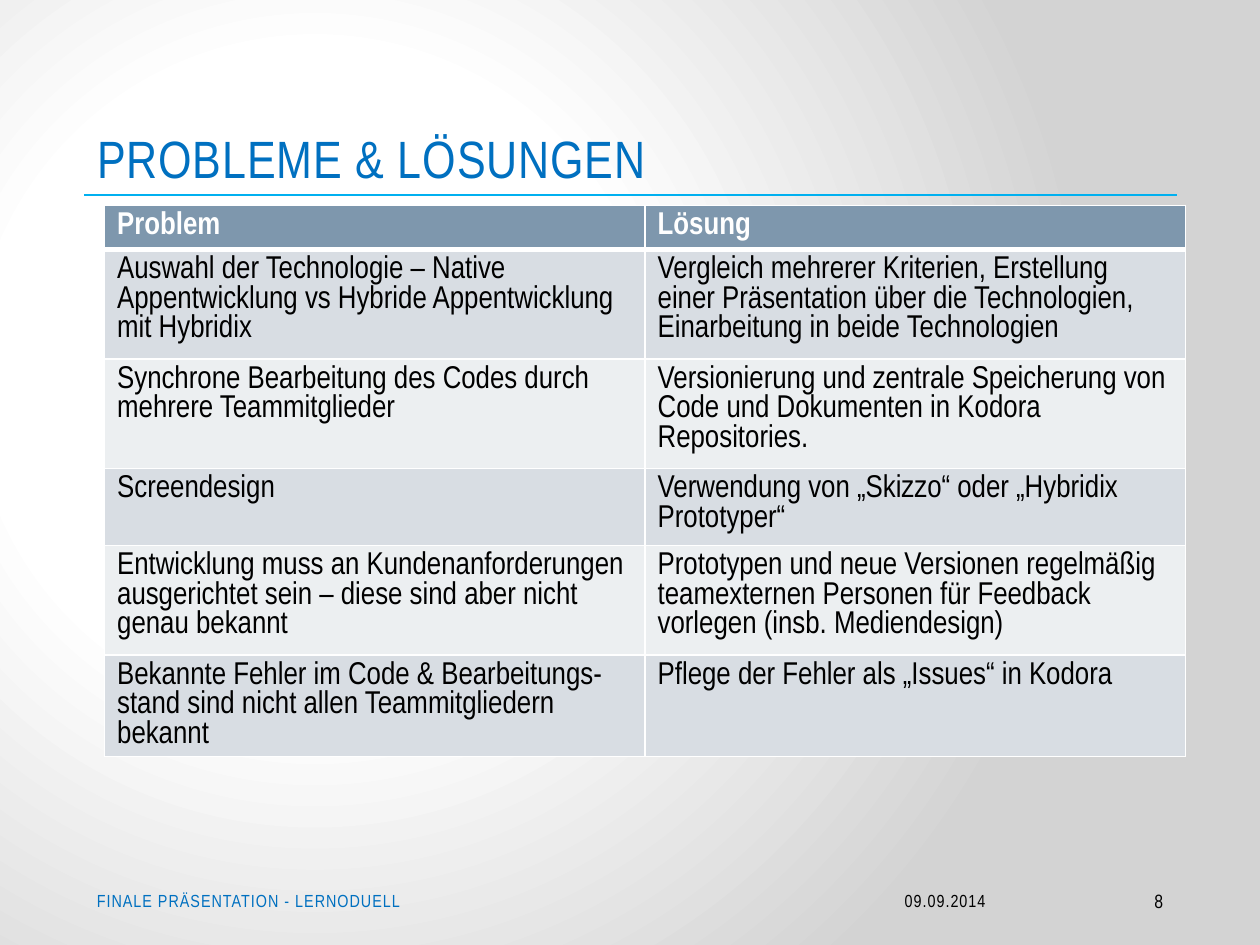
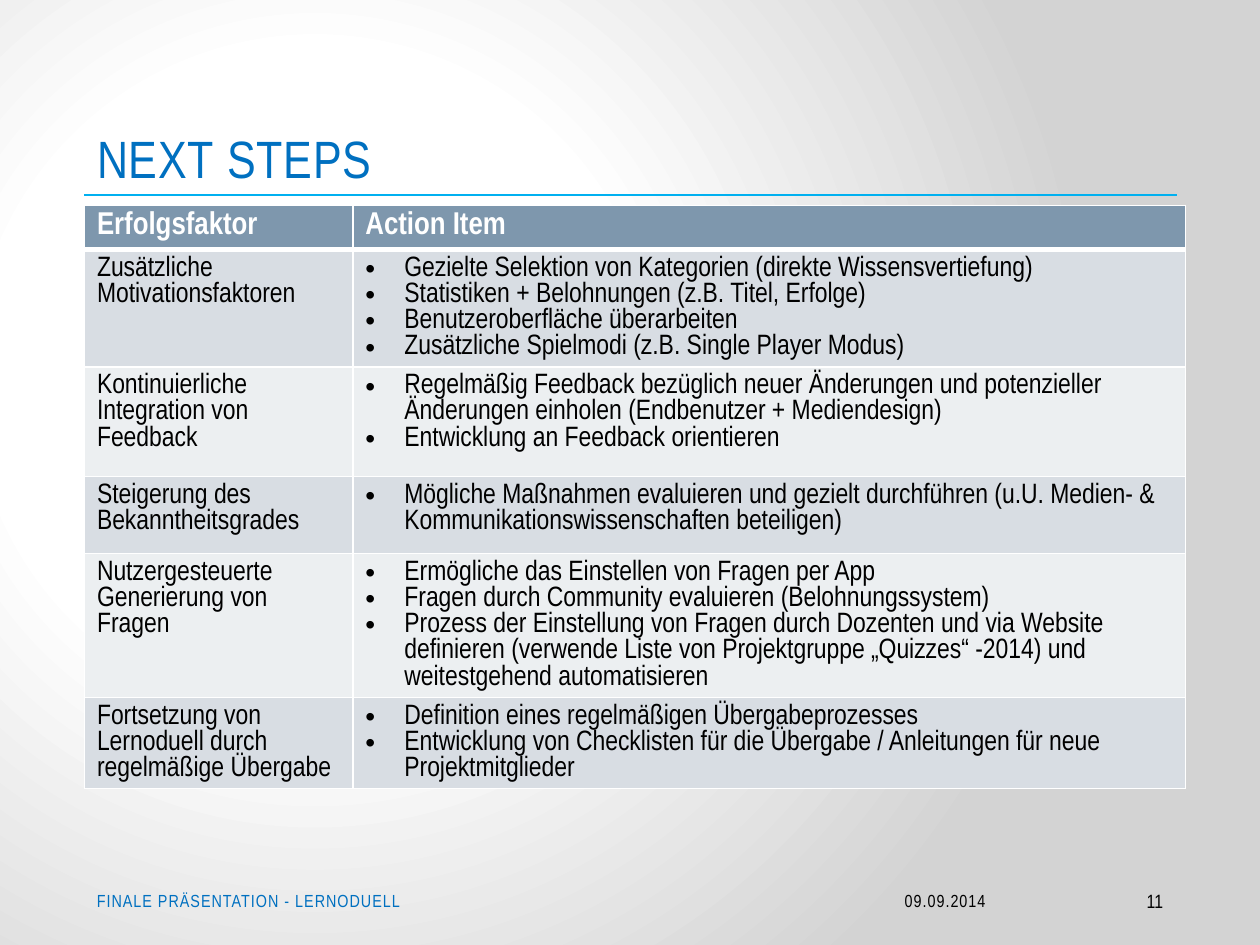
from dataclasses import dataclass

import pptx
import pptx.dml.color
import pptx.enum.shapes
import pptx.enum.text
import pptx.oxml
import pptx.oxml.ns
import pptx.oxml.xmlchemy
import pptx.presentation
import pptx.shapes.autoshape
import pptx.slide
import pptx.table
import pptx.text.text
import pptx.util

Inches = pptx.util.Inches
RGBColor = pptx.dml.color.RGBColor
Align = pptx.enum.text.PP_ALIGN
Anchor = pptx.enum.text.MSO_ANCHOR

WHITE = RGBColor(0xFF, 0xFF, 0xFF)
BLACK = RGBColor(0x00, 0x00, 0x00)
GREY = RGBColor(0xD3, 0xD3, 0xD3)
BLUE = RGBColor(0x00, 0x70, 0xC0)
RULE_BLUE = RGBColor(0x00, 0xB0, 0xF0)
HEADER_FILL = RGBColor(0x7E, 0x97, 0xAD)
BAND_FILLS = (RGBColor(0xD8, 0xDD, 0xE3), RGBColor(0xEC, 0xEF, 0xF1))

FONT = "Arial Narrow"
NAMESPACE = pptx.oxml.ns.nsdecls("a")
LEFT = Inches(0.67)
CONTENT_WIDTH = Inches(8.67)
RULE_TOP = Inches(1.55)
TABLE_TOP = Inches(1.63)
FOOTER_TOP = Inches(6.95)
FOOTER_HEIGHT = Inches(0.4)
BULLET_INDENT = Inches(0.31)
ROW_HEIGHTS = [Inches(height) for height in (0.35, 0.87, 0.87, 0.61, 0.87, 0.61)]
HEADER_SIZE = 18
LINE_SPACING = 0.937


@dataclass(frozen=True)
class FooterItem:
    left: pptx.util.Length
    width: pptx.util.Length
    text: str
    size: float = 10
    color: RGBColor = BLACK
    align: Align = Align.RIGHT
    tracking: float = 0.6


@dataclass(frozen=True)
class TableSlide:
    title: str
    number: int
    left: pptx.util.Length
    column_widths: tuple[pptx.util.Length, pptx.util.Length]
    body_size: float
    rows: list[tuple[str, str | list[str]]]


FOOTER_ITEMS = [
    FooterItem(Inches(6.25), Inches(1.67), "09.09.2014"),
    FooterItem(LEFT, Inches(3.17), "FINALE PRÄSENTATION - LERNODUELL",
               color=BLUE, align=Align.LEFT),
]

PROBLEMS = TableSlide(
    "PROBLEME & LÖSUNGEN", 8, Inches(0.83), (Inches(4.29), Inches(4.29)), 18,
    [
        ("Problem", "Lösung"),
        ("Auswahl der Technologie – Native Appentwicklung vs Hybride "
         "Appentwicklung mit Hybridix",
         "Vergleich mehrerer Kriterien, Erstellung einer Präsentation über die "
         "Technologien, Einarbeitung in beide Technologien"),
        ("Synchrone Bearbeitung des Codes durch mehrere Teammitglieder",
         "Versionierung und zentrale Speicherung von Code und Dokumenten in "
         "Kodora Repositories."),
        ("Screendesign", "Verwendung von „Skizzo“ oder „Hybridix Prototyper“"),
        ("Entwicklung muss an Kundenanforderungen ausgerichtet sein – diese sind "
         "aber nicht genau bekannt",
         "Prototypen und neue Versionen regelmäßig teamexternen Personen für "
         "Feedback vorlegen (insb. Mediendesign)"),
        ("Bekannte Fehler im Code & Bearbeitungs-stand sind nicht allen "
         "Teammitgliedern bekannt",
         "Pflege der Fehler als „Issues“ in Kodora"),
    ],
)

NEXT_STEPS = TableSlide(
    "NEXT STEPS", 11, LEFT, (Inches(2.13), Inches(6.61)), 16,
    [
        ("Erfolgsfaktor", "Action Item"),
        ("Zusätzliche Motivationsfaktoren",
         ["Gezielte Selektion von Kategorien (direkte Wissensvertiefung)",
          "Statistiken + Belohnungen (z.B. Titel, Erfolge)",
          "Benutzeroberfläche überarbeiten",
          "Zusätzliche Spielmodi (z.B. Single Player Modus)"]),
        ("Kontinuierliche Integration von Feedback",
         ["Regelmäßig Feedback bezüglich neuer Änderungen und potenzieller "
          "Änderungen einholen (Endbenutzer + Mediendesign)",
          "Entwicklung an Feedback orientieren"]),
        ("Steigerung des Bekanntheitsgrades",
         ["Mögliche Maßnahmen evaluieren und gezielt durchführen (u.U. Medien- & "
          "Kommunikationswissenschaften beteiligen)"]),
        ("Nutzergesteuerte Generierung von Fragen",
         ["Ermögliche das Einstellen von Fragen per App",
          "Fragen durch Community evaluieren (Belohnungssystem)",
          "Prozess der Einstellung von Fragen durch Dozenten und via Website "
          "definieren (verwende Liste von Projektgruppe „Quizzes“ -2014) und "
          "weitestgehend automatisieren"]),
        ("Fortsetzung von Lernoduell durch regelmäßige Übergabe",
         ["Definition eines regelmäßigen Übergabeprozesses",
          "Entwicklung von Checklisten für die Übergabe / Anleitungen für neue "
          "Projektmitglieder"]),
    ],
)


def write_text(paragraph: pptx.text.text._Paragraph, text: str, *, size: float,
               color: RGBColor, bold: bool = False, align: Align = Align.LEFT,
               tracking: float = 0, line_points: float | None = None,
               bullet: bool = False) -> None:
    paragraph.alignment = align
    if line_points:
        paragraph.line_spacing = pptx.util.Pt(line_points)
    run = paragraph.add_run()
    run.text = text
    run.font.name = FONT
    run.font.size = pptx.util.Pt(size)
    run.font.bold = bold
    run.font.color.rgb = color
    if tracking:
        run.font._element.set("spc", str(round(tracking * 100)))
    if bullet:
        properties = paragraph._p.get_or_add_pPr()
        properties.set("marL", str(BULLET_INDENT))
        properties.set("indent", str(-BULLET_INDENT))
        for tag in ('buFont {} typeface="Arial"', 'buChar {} char="•"'):
            properties.append(pptx.oxml.parse_xml(f"<a:{tag.format(NAMESPACE)}/>"))


def set_background(master: pptx.slide.SlideMaster) -> None:
    master.background.fill.gradient()
    stops = "".join(
        f'<a:gs pos="{position * 1000}"><a:srgbClr val="{color}"/></a:gs>'
        for position, color in ((0, WHITE), (41, WHITE), (100, GREY)))
    gradient = pptx.oxml.parse_xml(
        f'<a:gradFill {NAMESPACE} rotWithShape="1"><a:gsLst>{stops}</a:gsLst>'
        '<a:path path="circle"><a:fillToRect l="50000" t="80000" r="100000" '
        'b="100000"/></a:path></a:gradFill>')
    default = master.element.xpath(".//p:bg//a:gradFill")[0]
    default.getparent().replace(default, gradient)


def add_title(slide: pptx.slide.Slide, text: str) -> None:
    title = slide.shapes.title
    title.left, title.top = LEFT, Inches(0.3)
    title.width, title.height = CONTENT_WIDTH, Inches(1.25)
    frame = title.text_frame
    frame.auto_size = pptx.enum.text.MSO_AUTO_SIZE.NONE
    frame.vertical_anchor = Anchor.BOTTOM
    write_text(frame.paragraphs[0], text, size=30, color=BLUE, tracking=0.5)


def add_title_rule(slide: pptx.slide.Slide) -> None:
    rule = slide.shapes.add_connector(
        pptx.enum.shapes.MSO_CONNECTOR.STRAIGHT,
        LEFT, RULE_TOP, LEFT + CONTENT_WIDTH, RULE_TOP)
    rule.line.color.rgb = RULE_BLUE
    rule.line.width = pptx.util.Pt(1.25)
    rule._element.spPr.append(pptx.oxml.parse_xml(f"<a:effectLst {NAMESPACE}/>"))


def add_footer_item(slide: pptx.slide.Slide, item: FooterItem) -> None:
    box = slide.shapes.add_textbox(item.left, FOOTER_TOP, item.width, FOOTER_HEIGHT)
    frame = box.text_frame
    frame.word_wrap = True
    frame.vertical_anchor = Anchor.MIDDLE
    write_text(frame.paragraphs[0], item.text, size=item.size, color=item.color,
               align=item.align, tracking=item.tracking)


def set_borders(cell: pptx.table._Cell, top: float, bottom: float) -> None:
    properties = cell._tc.get_or_add_tcPr()
    for side, points in (("L", 1), ("R", 1), ("T", top), ("B", bottom)):
        properties.append(pptx.oxml.parse_xml(
            f'<a:ln{side} {NAMESPACE} w="{pptx.util.Pt(points)}"><a:solidFill>'
            f'<a:srgbClr val="{WHITE}"/></a:solidFill></a:ln{side}>'))


def fill_cell(cell: pptx.table._Cell, content: str | list[str], row_index: int,
              body_size: float) -> None:
    header = row_index == 0
    set_borders(cell, top=3 if row_index == 1 else 1, bottom=3 if header else 1)
    cell.fill.solid()
    cell.fill.fore_color.rgb = HEADER_FILL if header else BAND_FILLS[(row_index - 1) % 2]
    size = HEADER_SIZE if header else body_size
    bullet = isinstance(content, list)
    frame = cell.text_frame
    for index, text in enumerate(content if bullet else [content]):
        paragraph = frame.add_paragraph() if index else frame.paragraphs[0]
        write_text(paragraph, text, size=size, color=WHITE if header else BLACK,
                   bold=header, line_points=size * LINE_SPACING, bullet=bullet)


def add_content_table(slide: pptx.slide.Slide, content: TableSlide) -> None:
    table = slide.shapes.add_table(
        len(content.rows), len(content.column_widths), content.left, TABLE_TOP,
        sum(content.column_widths), sum(ROW_HEIGHTS)).table
    table.horz_banding = False
    for column, width in zip(table.columns, content.column_widths):
        column.width = width
    for row_index, values in enumerate(content.rows):
        table.rows[row_index].height = ROW_HEIGHTS[row_index]
        for column_index, value in enumerate(values):
            fill_cell(table.cell(row_index, column_index), value, row_index,
                      content.body_size)


def add_table_slide(presentation: pptx.presentation.Presentation,
                    content: TableSlide) -> None:
    slide = presentation.slides.add_slide(
        presentation.slide_layouts.get_by_name("Title Only"))
    add_title_rule(slide)
    number = FooterItem(Inches(8.25), Inches(1.08), str(content.number), size=11,
                        tracking=0)
    for item in [*FOOTER_ITEMS, number]:
        add_footer_item(slide, item)
    add_title(slide, content.title)
    add_content_table(slide, content)


def main() -> None:
    presentation = pptx.Presentation()
    presentation.slide_width = Inches(10)
    presentation.slide_height = Inches(7.5)
    set_background(presentation.slide_master)
    for content in (PROBLEMS, NEXT_STEPS):
        add_table_slide(presentation, content)
    presentation.save("out.pptx")


if __name__ == "__main__":
    main()
